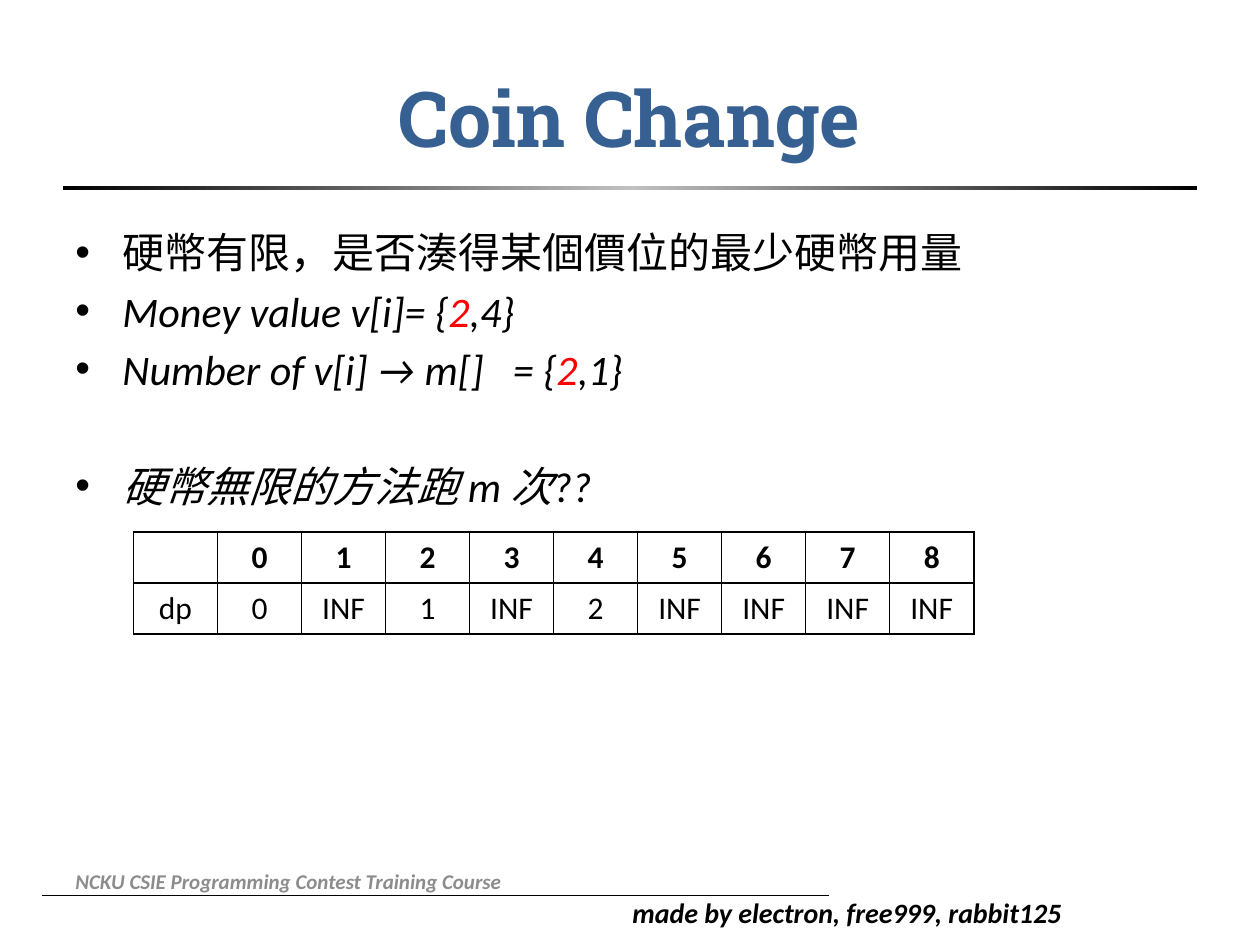
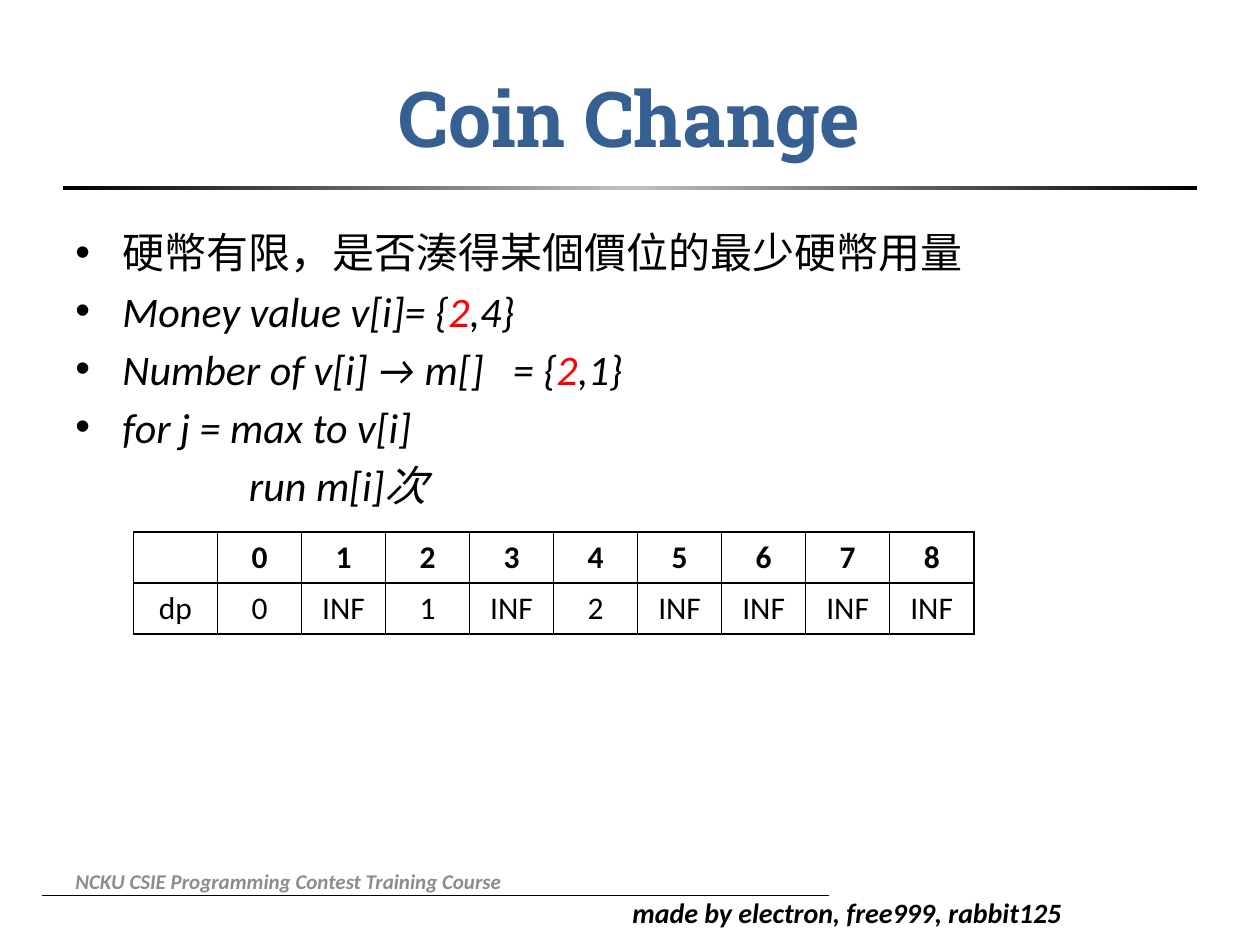
from copy import deepcopy

from lxml.etree import SubElement
from pptx import Presentation
from pptx.dml.color import RGBColor as RGB
from pptx.enum.shapes import MSO_CONNECTOR as LINE, MSO_SHAPE as SHAPE
from pptx.enum.text import MSO_ANCHOR as ANCHOR, PP_ALIGN as ALIGN
from pptx.oxml import parse_xml
from pptx.oxml.ns import nsdecls, qn
from pptx.util import Cm, Pt

# Theme: colours, and one type style for each part
BLACK, SILVER = RGB(0, 0, 0), RGB(0xC0, 0xC0, 0xC0)
RED = RGB(0xFF, 0, 0)
THEME = {
    "title": dict(name="Roboto Slab", size=Pt(44), bold=True, color=RGB(0x37, 0x60, 0x92)),
    "body": dict(name="Calibri", size=Pt(24), color=BLACK),
    "formula": dict(name="Calibri", size=Pt(24), italic=True, color=BLACK),
    "marked": dict(name="Calibri", size=Pt(24), italic=True, color=RED),
    "course": dict(name="Calibri", size=Pt(12), bold=True, italic=True, color=RGB(0x8C, 0x8C, 0x8C)),
    "credit": dict(name="Calibri", size=Pt(16), bold=True, italic=True, color=BLACK),
    "index": dict(name="Calibri", size=Pt(18), bold=True, color=BLACK),
    "value": dict(name="Calibri", size=Pt(18), bold=False, color=BLACK),
}
MARGIN, CONTENT_WIDTH = 1.27, 22.86
HANG, CODE_INDENT, EQUALS_TAB = Cm(0.95), Cm(3.5), Cm(8.82)
LINE_GAP, SKIPPED_LINE = Pt(4.4), Pt(38.1)

# Content: (bullet, space before, [(style, text), ...])
SHARED_POINTS = [
    (True, Pt(0), [("body", "硬幣有限，是否湊得某個價位的最少硬幣用量")]),
    (True, LINE_GAP, [("formula", "Money value v[i]= {"), ("marked", "2"), ("formula", ",4}")]),
    (True, LINE_GAP, [("formula", "Number of v[i] → m[]\t= {"), ("marked", "2"), ("formula", ",1}")]),
]
CLOSING_POINTS = [
    [(True, SKIPPED_LINE, [("formula", "硬幣無限的方法跑 m 次??")])],
    [(True, LINE_GAP, [("formula", "for j = max to v[i]")]),
     (False, LINE_GAP, [("formula", "run m[i]次")])],
]
DP_ROWS = [
    ("index", ["", *map(str, range(9))]),
    ("value", ["dp", "0", "INF", "1", "INF", "2", "INF", "INF", "INF", "INF"]),
]


def add_run(paragraph, text, style):
    run = paragraph.add_run()
    run.text = text
    for key, value in THEME[style].items():
        if key == "color":
            run.font.color.rgb = value
        else:
            setattr(run.font, key, value)


def add_frame(slide, left, top, width, height, **settings):
    frame = slide.shapes.add_textbox(Cm(left), Cm(top), Cm(width), Cm(height)).text_frame
    for key, value in {"word_wrap": True, **settings}.items():
        setattr(frame, key, value)
    return frame


deck = Presentation()
deck.slide_width, deck.slide_height = Cm(25.4), Cm(19.05)

for closing in CLOSING_POINTS:
    slide = deck.slides.add_slide(deck.slide_layouts[6])

    # Footer rule and credit
    footer_rule = slide.shapes.add_connector(LINE.STRAIGHT, Cm(0.84), Cm(18.06), Cm(16.71), Cm(18.06))
    footer_rule.line.color.rgb = BLACK
    footer_rule.line.width = Pt(0.5)
    SubElement(footer_rule._element.spPr, qn("a:effectLst"))
    credit = add_frame(slide, 12.5, 17.93, 9.8, 0.94)
    add_run(credit.paragraphs[0], "made by electron, free999, rabbit125", "credit")

    # Gradient band under the title
    band = slide.shapes.add_shape(SHAPE.RECTANGLE, Cm(MARGIN), Cm(3.76), Cm(CONTENT_WIDTH), Cm(0.08))
    band.shadow.inherit = False
    band.line.fill.background()
    band.fill.gradient()
    band.fill.gradient_angle = 0
    stops = band._element.spPr.find(".//" + qn("a:gsLst"))
    stops.insert(1, deepcopy(stops[0]))
    for stop, position, color in zip(band.fill.gradient_stops, (0, 0.5, 1), (BLACK, SILVER, BLACK)):
        stop.position = position
        stop.color.rgb = color

    # Title
    title = add_frame(slide, MARGIN, 0.76, CONTENT_WIDTH, 3.18, vertical_anchor=ANCHOR.MIDDLE)
    title.paragraphs[0].alignment = ALIGN.CENTER
    add_run(title.paragraphs[0], "Coin Change", "title")

    # Points
    body = add_frame(slide, MARGIN, 4.45, CONTENT_WIDTH, 12.57)
    for number, (bulleted, gap, pieces) in enumerate(SHARED_POINTS + closing):
        point = body.add_paragraph() if number else body.paragraphs[0]
        props = point._p.get_or_add_pPr()
        if bulleted:
            props.set("marL", str(HANG))
            props.set("indent", str(-HANG))
            SubElement(props, qn("a:buFont"), typeface="Arial")
            SubElement(props, qn("a:buChar"), char="•")
        else:
            props.set("marL", str(CODE_INDENT))
            props.set("indent", "0")
        if any("\t" in text for _, text in pieces):
            tabs = SubElement(props, qn("a:tabLst"))
            SubElement(tabs, qn("a:tab"), pos=str(EQUALS_TAB), algn="l")
        if number:
            point.space_before = gap
        for style, text in pieces:
            add_run(point, text, style)

    # Course name
    course = add_frame(slide, MARGIN, 17.25, 12.83, 1.02, vertical_anchor=ANCHOR.MIDDLE)
    add_run(course.paragraphs[0], "NCKU CSIE Programming Contest Training Course", "course")

    # Table of dp values
    dp = slide.shapes.add_table(2, 10, Cm(2.69), Cm(10.72), Cm(16.94), Cm(2.06)).table
    dp.first_row = dp.horz_banding = False
    for r, (style, texts) in enumerate(DP_ROWS):
        for c, text in enumerate(texts):
            cell = dp.cell(r, c)
            cell.fill.background()
            borders = cell._tc.get_or_add_tcPr()
            for place, side in enumerate("LRTB"):
                borders.insert(place, parse_xml(
                    f'<a:ln{side} {nsdecls("a")} w="{Pt(1)}"><a:solidFill>'
                    f'<a:srgbClr val="{BLACK}"/></a:solidFill></a:ln{side}>'))
            if text:
                cell.text_frame.paragraphs[0].alignment = ALIGN.CENTER
                add_run(cell.text_frame.paragraphs[0], text, style)

deck.save("out.pptx")
